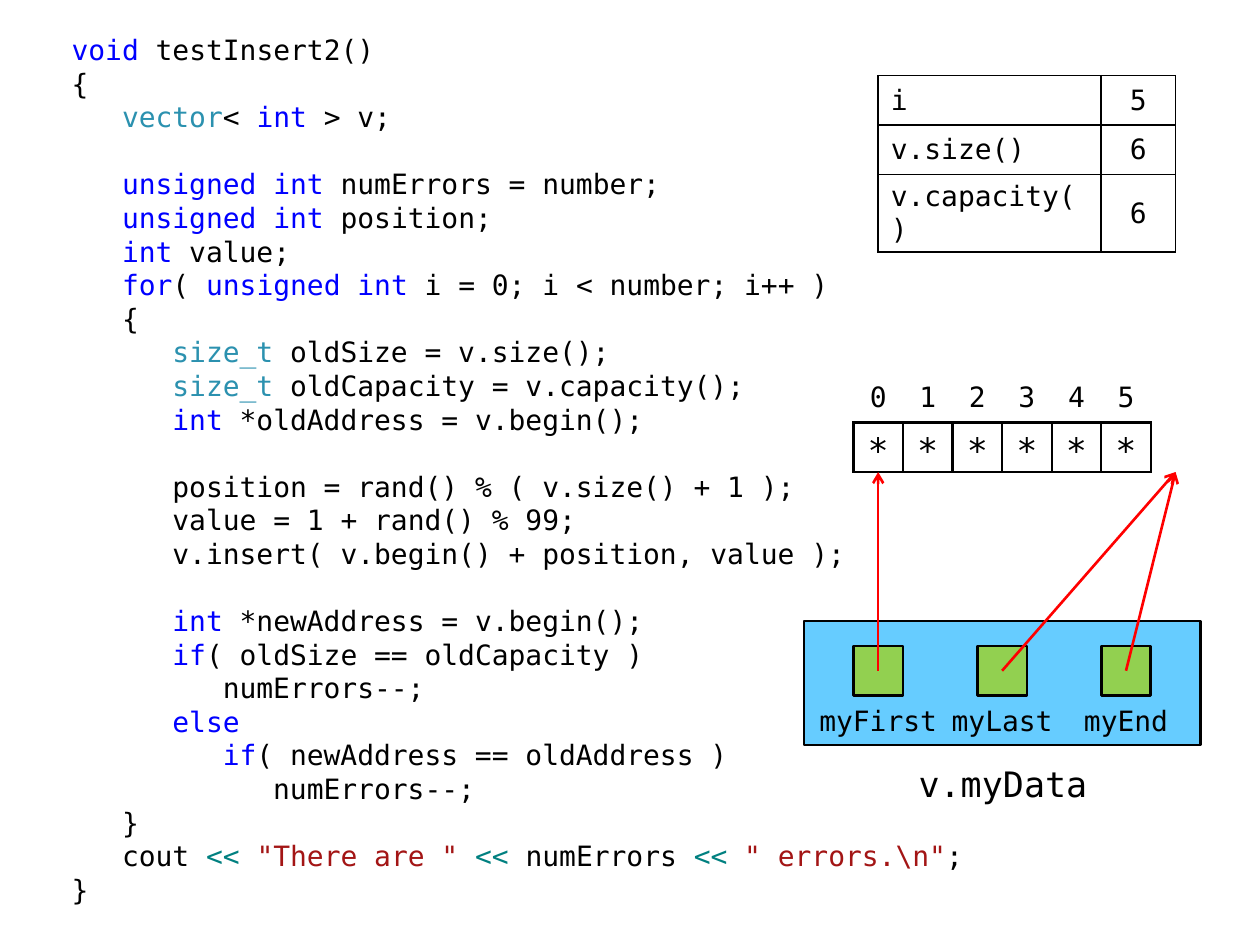
"""Build a slide that traces vector insertion beside its code."""
from lxml.etree import SubElement
from pptx import Presentation
from pptx.dml.color import RGBColor
from pptx.enum.shapes import MSO_CONNECTOR, MSO_SHAPE
from pptx.enum.text import MSO_ANCHOR, PP_ALIGN
from pptx.oxml.ns import qn
from pptx.util import Inches, Pt

BLACK = RGBColor(0, 0, 0)
BLUE = RGBColor(0, 0, 255)
TYPE = RGBColor(0x2B, 0x91, 0xAF)
TEAL = RGBColor(0, 0x80, 0x80)
BRICK = RGBColor(0xA3, 0x15, 0x15)
SKY = RGBColor(0x66, 0xCC, 0xFF)
GREEN = RGBColor(0x92, 0xD0, 0x50)
RED = RGBColor(255, 0, 0)

CELL = 2.36 / 6
LEFT, TOP = 6.38, 4.93
ARRAY_TOP = 2.96
ARRAY_END = ARRAY_TOP + 2 * CELL
PLAIN_GRID = "{2D5ABB26-0587-4C30-8999-92F81FD0307C}"

INT = ("int", BLUE)
UINT = ("unsigned int", BLUE)
SIZE = ("size_t ", TYPE)
IF = ("if", BLUE)
PUT = ("<< ", TEAL)

CODE = [
    (0, 0, [("void ", BLUE), "testInsert2()"]),
    (0, 0, ["{"]),
    (1, 0, [("vector", TYPE), "< ", INT, " > v;"]),
    (1, 1, [UINT, " numErrors = number;"]),
    (1, 0, [UINT, " position;"]),
    (1, 0, [INT, " value;"]),
    (1, 0, [("for", BLUE), "( ", UINT, " i = 0; i < number; i++ )"]),
    (1, 0, ["{"]),
    (2, 0, [SIZE, "oldSize = v.size();"]),
    (2, 0, [SIZE, "oldCapacity = v.capacity();"]),
    (2, 0, [INT, " *oldAddress = v.begin();"]),
    (2, 1, ["position = rand() % ( v.size() + 1 );"]),
    (2, 0, ["value = 1 + rand() % 99;"]),
    (2, 0, ["v.insert( v.begin() + position, value );"]),
    (2, 1, [INT, " *newAddress = v.begin();"]),
    (2, 0, [IF, "( oldSize == oldCapacity )"]),
    (3, 0, ["numErrors--;"]),
    (2, 0, [("else", BLUE)]),
    (3, 0, [IF, "( newAddress == oldAddress )"]),
    (4, 0, ["numErrors--;"]),
    (1, 0, ["}"]),
    (1, 0, ["cout ", PUT, ('"There are " ', BRICK), PUT, "numErrors ", PUT,
            ('" errors.\\n"', BRICK), ";"]),
    (0, 0, ["}"]),
]


class Board:
    """Hold the style and the current slide."""

    font = "DejaVu Sans Mono"
    size = 16
    pitch = 19.2
    indent = 0.4
    line = 1.5

    def __init__(self, slide):
        self.slide = slide
        self.shapes = slide.shapes

    def run(self, para, text, color=BLACK, size=None):
        run = para.add_run()
        run.text = text
        run.font.name = self.font
        run.font.size = Pt(size or self.size)
        run.font.color.rgb = color

    def code(self, x, y, w, h, rows):
        frame = self.shapes.add_textbox(*map(Inches, (x, y, w, h))).text_frame
        frame.word_wrap = True
        for num, (level, gap, parts) in enumerate(rows):
            para = frame.add_paragraph() if num else frame.paragraphs[0]
            para.line_spacing = Pt(self.pitch)
            para.space_before = Pt(self.pitch * gap)
            para._p.get_or_add_pPr().set("marL", str(Inches(self.indent * level)))
            for part in parts:
                self.run(para, *([part] if isinstance(part, str) else part))

    def label(self, x, y, w, h, text, size=None):
        frame = self.shapes.add_textbox(*map(Inches, (x, y, w, h))).text_frame
        frame.word_wrap = True
        frame.vertical_anchor = MSO_ANCHOR.MIDDLE
        para = frame.paragraphs[0]
        para.alignment = PP_ALIGN.CENTER
        self.run(para, text, size=size)

    def box(self, x, y, w, h, color, kind=MSO_SHAPE.RECTANGLE):
        shape = self.shapes.add_shape(kind, *map(Inches, (x, y, w, h)))
        shape.shadow.inherit = False
        shape.fill.solid()
        shape.fill.fore_color.rgb = color
        shape.line.color.rgb = BLACK
        shape.line.width = Pt(self.line)

    def arrow(self, *ends):
        link = self.shapes.add_connector(MSO_CONNECTOR.STRAIGHT, *map(Inches, ends))
        link.line.color.rgb = RED
        link.line.width = Pt(self.line)
        SubElement(link.line._get_or_add_ln(), qn("a:tailEnd"), type="arrow")
        SubElement(link._element.spPr, qn("a:effectLst"))

    def table(self, x, y, cols, rows):
        frame = self.shapes.add_table(
            len(rows), len(cols), *map(Inches, (x, y, sum(cols), CELL * len(rows))))
        table = frame.table
        table.first_row = table.horz_banding = False
        table._tbl.tblPr[0].text = PLAIN_GRID
        for col, width in zip(table.columns, cols):
            col.width = Inches(width)
        for row in table.rows:
            row.height = Inches(CELL)
        return table

    def cell(self, cell, text, sides, line, pad, size=None,
             align=PP_ALIGN.CENTER, anchor=MSO_ANCHOR.MIDDLE):
        cell.margin_left = cell.margin_right = Inches(pad[0])
        cell.margin_top = cell.margin_bottom = Inches(pad[1])
        cell.vertical_anchor = anchor
        para = cell.text_frame.paragraphs[0]
        para.alignment = align
        self.run(para, text, size=size)
        props = cell._tc.get_or_add_tcPr()
        for side in sides:
            edge = SubElement(props, qn(f"a:ln{side}"), w=str(Pt(line)))
            fill = SubElement(edge, qn("a:solidFill"))
            SubElement(fill, qn("a:srgbClr"), val=str(BLACK))
        cell.fill.background()


def main():
    deck = Presentation()
    deck.slide_width, deck.slide_height = Inches(10), Inches(7.5)
    board = Board(deck.slides.add_slide(deck.slide_layouts[6]))
    board.code(0.47, 0.21, 7.28, 7.09, CODE)

    array = board.table(LEFT + CELL, ARRAY_TOP, [CELL] * 6, range(2))
    for num in range(6):
        board.cell(array.cell(0, num), str(num), "B", 1.5, (0.06, 0.04))
        board.cell(array.cell(1, num), "*", "LRTB", 1.5, (0, 0), 20,
                   anchor=MSO_ANCHOR.BOTTOM)

    board.box(LEFT, TOP, 8 * CELL, 2.5 * CELL, SKY, MSO_SHAPE.FLOWCHART_PROCESS)
    fields = [("myFirst", 0, 6.97), ("myLast", 2.5, 9.33), ("myEnd", 5, 9.33)]
    for name, step, _ in fields:
        x = LEFT + step * CELL
        board.label(x, TOP + 1.5 * CELL, 3 * CELL, CELL, name)
        board.box(x + CELL, TOP + CELL / 2, CELL, CELL, GREEN)
    for _, step, end in fields:
        board.arrow(LEFT + (step + 1.5) * CELL, TOP + CELL, end, ARRAY_END)

    facts = [("i", "5"), ("v.size()", "6"), ("v.capacity()", "6")]
    state = board.table(6.97, 0.6, [1.77, 0.59], facts)
    for row, pair in enumerate(facts):
        for col, text in enumerate(pair):
            board.cell(state.cell(row, col), text, "LRTB", 1, (0.1, 0.04),
                       align=PP_ALIGN.CENTER if col else PP_ALIGN.LEFT)
    board.label(7.17, 5.92, 1.58, 0.59, "v.myData", 20)
    deck.save("out.pptx")


if __name__ == "__main__":
    main()
